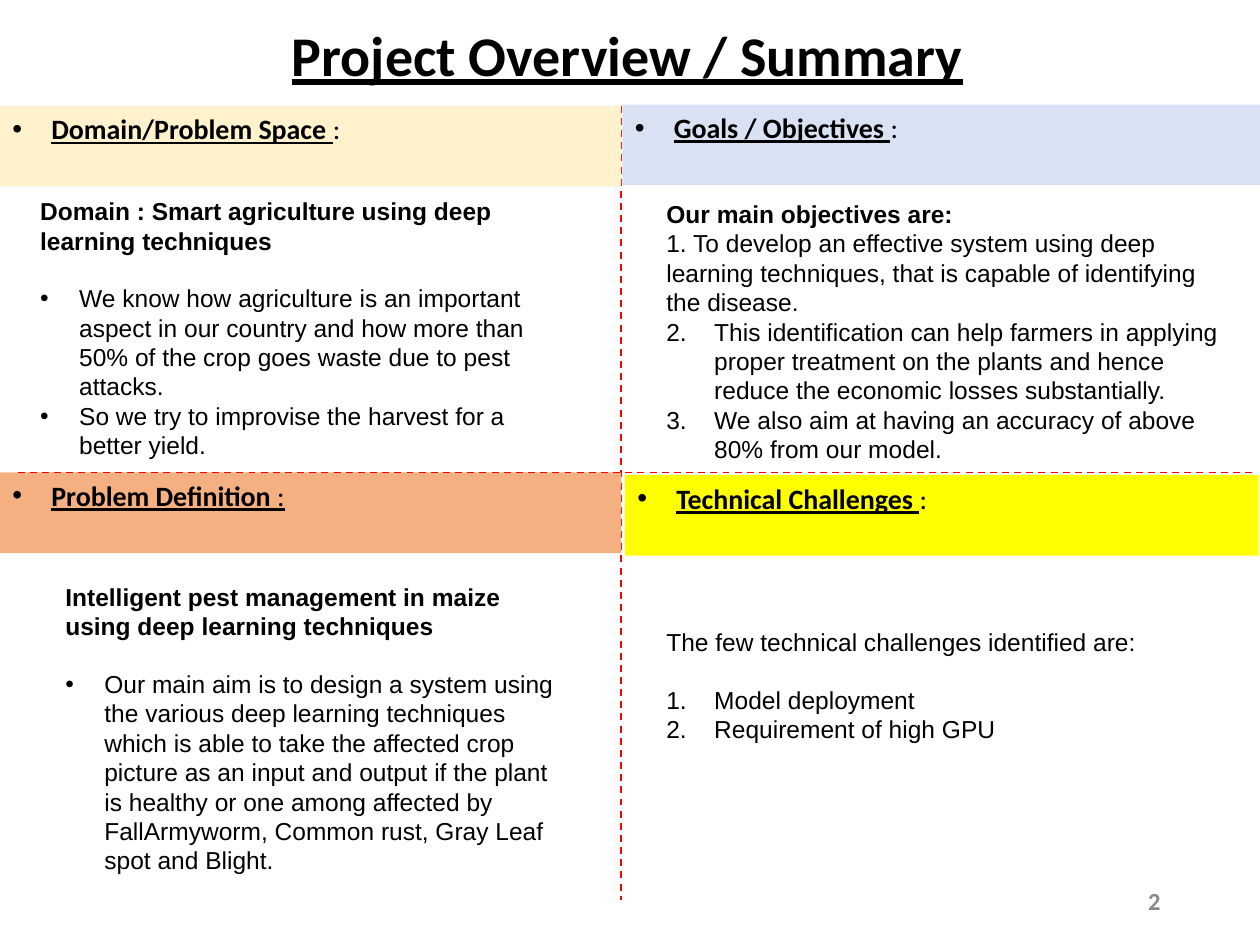
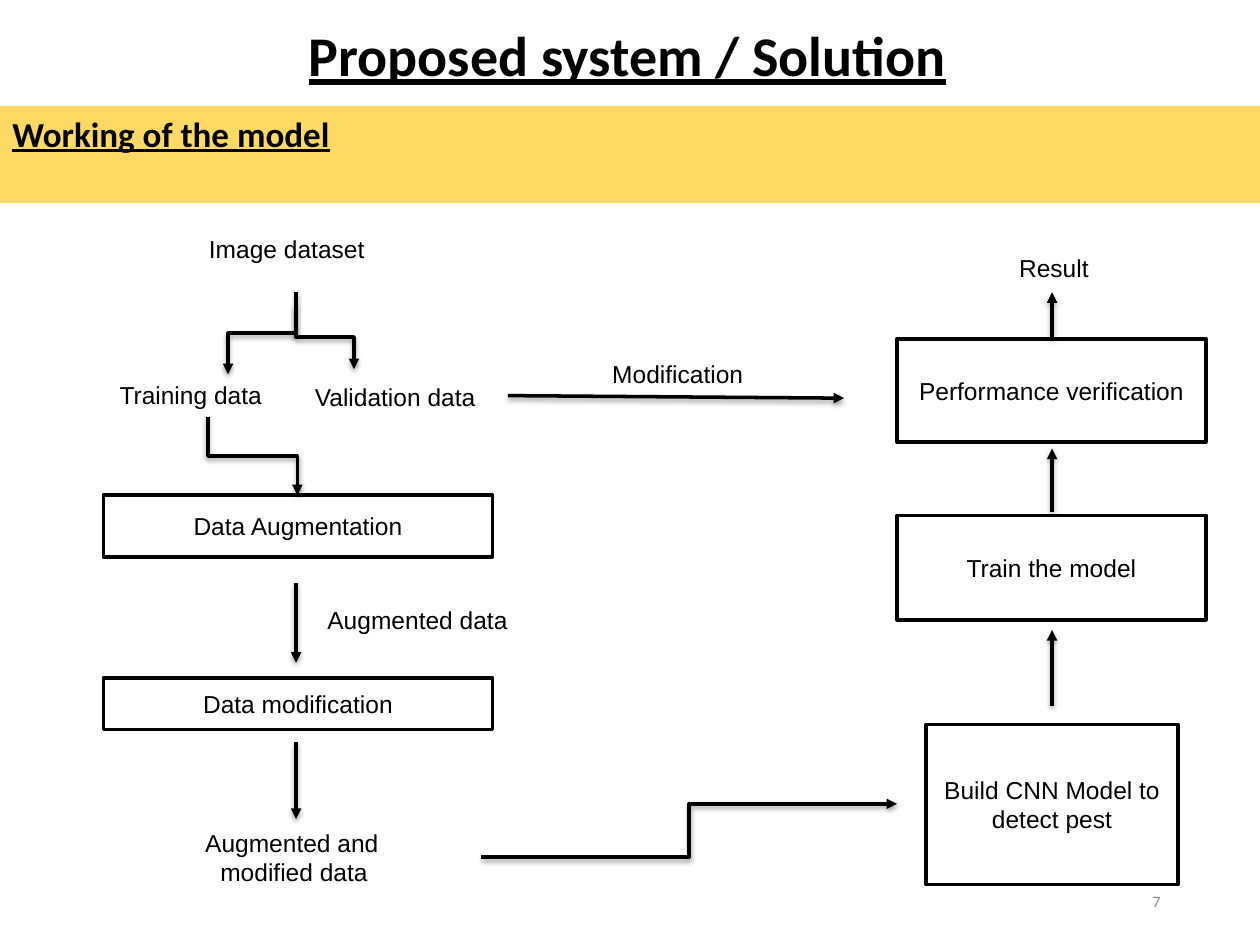
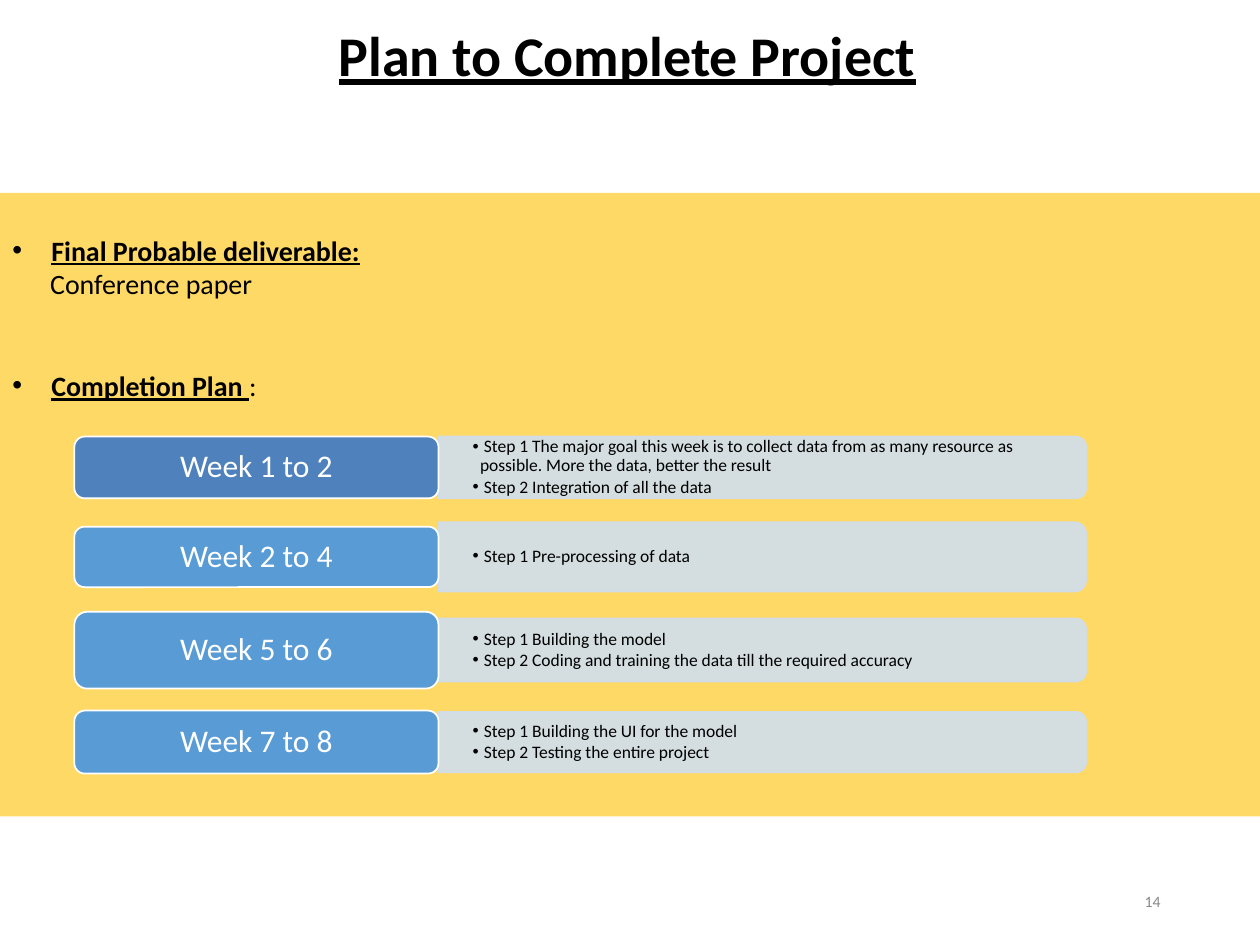
"""Build three project review slides: overview, proposed system and completion plan."""
from lxml.etree import SubElement
from pptx import Presentation
from pptx.dml.color import RGBColor
from pptx.enum.dml import MSO_LINE
from pptx.enum.shapes import MSO_CONNECTOR, MSO_SHAPE
from pptx.enum.text import MSO_ANCHOR, PP_ALIGN
from pptx.oxml.ns import qn
from pptx.util import Inches, Pt

BLACK = RGBColor(0x00, 0x00, 0x00)
WHITE = RGBColor(0xFF, 0xFF, 0xFF)
GREY = RGBColor(0x88, 0x88, 0x88)
RED = RGBColor(0xFF, 0x00, 0x00)
CREAM = RGBColor(0xFF, 0xF2, 0xCC)
ORANGE = RGBColor(0xF4, 0xB0, 0x81)
PALE = RGBColor(0xD8, 0xE2, 0xF3)
YELLOW = RGBColor(0xFF, 0xFF, 0x00)
GOLD = RGBColor(0xFF, 0xD9, 0x66)
MIST = RGBColor(0xCF, 0xDE, 0xEF)
NAVY = RGBColor(0x4F, 0x81, 0xBD)
BLUE = RGBColor(0x59, 0x9B, 0xD5)

STRAIGHT = MSO_CONNECTOR.STRAIGHT
ELBOW = MSO_CONNECTOR.ELBOW
CENTER = PP_ALIGN.CENTER
MIDDLE = MSO_ANCHOR.MIDDLE


def put(slide, box, paras, size=14, face="Arial", color=BLACK, fill=None, edge=None,
        weight=2, kind=MSO_SHAPE.RECTANGLE, align=PP_ALIGN.LEFT, anchor=MSO_ANCHOR.TOP,
        under=False, inset=(0.1, 0.05), gaps=None, pitch=None):
    """Add a box of paragraphs, each given as mark, indent, bold head and plain tail."""
    place = [Inches(n) for n in box]
    if fill is None:
        shape = slide.shapes.add_textbox(*place)
    else:
        shape = slide.shapes.add_shape(kind, *place)
        shape.shadow.inherit = False
        shape.fill.solid()
        shape.fill.fore_color.rgb = fill
        if edge is None:
            shape.line.fill.background()
        else:
            shape.line.color.rgb = edge
            shape.line.width = Pt(weight)
    frame = shape.text_frame
    frame.word_wrap = True
    frame.vertical_anchor = anchor
    frame.margin_left = frame.margin_right = Inches(inset[0])
    frame.margin_top = frame.margin_bottom = Inches(inset[1])
    for i, (mark, pad, head, tail) in enumerate(paras):
        para = frame.paragraphs[0] if i == 0 else frame.add_paragraph()
        para.alignment = align
        props = para._p.get_or_add_pPr()
        props.set("marL", str(Inches(pad)))
        props.set("indent", str(-Inches(pad) if mark else 0))
        if mark == "•":
            SubElement(props, qn("a:buFont"), typeface="Arial")
            SubElement(props, qn("a:buChar"), char=mark)
        elif mark:
            SubElement(props, qn("a:buAutoNum"), type="arabicPeriod", startAt=str(mark))
        if pitch:
            para.line_spacing = pitch
        if gaps and i in gaps:
            para.space_before = Pt(gaps[i])
        para.font.size = Pt(size)
        para.font.name = face
        para.font.color.rgb = color
        for text, bold in ((head, True), (tail, False)):
            if text:
                run = para.add_run()
                run.text = text
                run.font.bold = bold
                run.font.underline = bold and under
    return shape


def link(slide, ends, kind=STRAIGHT, drop=False, guide=False):
    """Add a dashed guide or an arrow; a dropping elbow leaves its start downwards."""
    x1, y1, x2, y2 = ends
    if drop:
        midx, midy = (x1 + x2) / 2, (y1 + y2) / 2
        halfx, halfy = (y2 - y1) / 2, abs(x2 - x1) / 2
        if x2 > x1:
            halfx = -halfx
        ends = midx - halfx, midy - halfy, midx + halfx, midy + halfy
    line = slide.shapes.add_connector(kind, *[Inches(n) for n in ends])
    props = line._element.spPr
    if drop:
        props.find(qn("a:xfrm")).set("rot", "16200000" if x2 > x1 else "5400000")
    line.line.color.rgb = RED if guide else BLACK
    line.line.width = Pt(1 if guide else 2)
    if guide:
        line.line.dash_style = MSO_LINE.DASH
    else:
        SubElement(props.find(qn("a:ln")), qn("a:tailEnd"), type="triangle")
    effect = SubElement(props, qn("a:effectLst"))
    if not guide:
        shade = SubElement(effect, qn("a:outerShdw"), blurRad=str(Pt(3.1)),
                           dist=str(Pt(1.6)), dir="5400000", rotWithShape="0")
        tint = SubElement(shade, qn("a:srgbClr"), val="000000")
        SubElement(tint, qn("a:alpha"), val="38000")


deck = Presentation()
deck.slide_width = Inches(10)
deck.slide_height = Inches(7.5)

for title, page, size in (
    ("Project Overview / Summary", ("2", ""), 14),
    ("Proposed system / Solution", ("", "7"), 9),
    ("Plan to Complete Project", ("", "14"), 9),
):
    slide = deck.slides.add_slide(deck.slide_layouts[6])
    put(slide, (-0.04, -0.03, 10.04, 0.78), [("", 0, title, "")], size=32, face="Calibri",
        align=CENTER, anchor=MSO_ANCHOR.BOTTOM, under=True, pitch=0.9)
    put(slide, (7.06, 6.95, 2.25, 0.4), [("", 0, *page)], size=size, face="Calibri",
        color=GREY, align=PP_ALIGN.RIGHT, anchor=MIDDLE)
survey, system, plan = deck.slides

link(survey, (4.93, 0.84, 4.93, 7.14), guide=True)
bands = []
for left, top, width, fill, head, tail in (
    (0, 0.84, 4.93, CREAM, "Domain/Problem Space ", ":"),
    (0, 3.75, 4.93, ORANGE, "Problem Definition ", ":"),
    (4.94, 0.83, 5.06, PALE, "Goals / Objectives ", ":"),
    (4.96, 3.77, 5.03, YELLOW, "Technical Challenges ", ":"),
):
    bands.append(put(survey, (left, top, width, 0.64), [("•", 0.31, head, tail)], size=16,
                     face="Calibri", fill=fill, under=True))
bands[1].text_frame.paragraphs[0].runs[1].font.underline = True
link(survey, (0.14, 3.75, 9.96, 3.75), guide=True)

for box, gaps, paras in (
    ((0.22, 1.51, 4.31, 2.46), {1: 16}, [
        ("", 0, "Domain : Smart agriculture using deep learning techniques", ""),
        ("•", 0.31, "", "We know how agriculture is an important aspect in our country and "
         "how more than 50% of the crop goes waste due to pest attacks."),
        ("•", 0.31, "", "So we try to improvise the harvest for a better yield."),
    ]),
    ((5.19, 1.53, 4.59, 2.69), {}, [
        ("", 0, "Our main objectives are:", ""),
        ("", 0, "", "1. To develop an effective system using deep learning techniques, "
         "that is capable of identifying the disease."),
        (2, 0.38, "", "This identification can help farmers in applying proper treatment "
         "on the plants and hence reduce the economic losses substantially."),
        (2, 0.38, "", "We also aim at having an accuracy of above 80% from our model."),
    ]),
    ((0.42, 4.57, 4.15, 2.69), {1: 16}, [
        ("", 0, "Intelligent pest management in maize using deep learning techniques", ""),
        ("•", 0.31, "", "Our main aim is to design a system using the various deep learning "
         "techniques which is able to take the affected crop picture as an input and output "
         "if the plant is healthy or one among affected by FallArmyworm, Common rust, "
         "Gray Leaf spot and Blight."),
    ]),
    ((5.19, 4.93, 4.38, 1.04), {1: 16}, [
        ("", 0, "", "The few technical challenges identified are:"),
        (1, 0.38, "", "Model deployment"),
        (1, 0.38, "", "Requirement of high GPU"),
    ]),
):
    put(survey, box, paras, gaps=gaps)

put(system, (0, 0.84, 10, 0.77), [("", 0, "Working of the model", "")], size=20,
    face="Calibri", fill=GOLD, under=True)
for text, *box in (
    ("Data Augmentation", 0.82, 3.93, 3.09, 0.49),
    ("Data modification", 0.82, 5.38, 3.09, 0.41),
    ("Build CNN Model to detect pest", 7.35, 5.75, 2, 1.27),
    ("Performance verification", 7.12, 2.69, 2.45, 0.82),
    ("Train the model", 7.12, 4.09, 2.45, 0.83),
):
    put(system, box, [("", 0, "", text)], fill=WHITE, edge=BLACK, align=CENTER, anchor=MIDDLE)
for left, top, *lines in (
    (0.81, 1.81, (0.75, "Image dataset")),
    (1.11, 6.52, (0.42, "Augmented and"), (0.54, "modified data")),
    (1.81, 4.75, (0.69, "Augmented data")),
    (1.65, 2.98, (0.75, "Validation data")),
    (0.1, 2.97, (0.75, "Training data")),
    (6.91, 1.96, (1.08, "Result")),
    (4.07, 2.8, (0.69, "Modification")),
):
    put(system, (left, top, 3.09, 0.34 if len(lines) == 1 else 0.57),
        [("", pad, "", text) for pad, text in lines])
for ends in (
    (2.35, 4.63, 2.35, 5.26),
    (2.35, 5.89, 2.35, 6.5),
    (8.35, 5.6, 8.35, 5),
    (8.35, 4.06, 8.35, 3.56),
    (8.35, 2.69, 8.35, 2.32),
    (4.03, 3.14, 6.7, 3.16),
):
    link(system, ends)
for ends in (
    (2.35, 2.32, 1.81, 2.97),
    (2.35, 2.42, 2.81, 2.93),
    (1.65, 3.31, 2.36, 3.93),
):
    link(system, ends, ELBOW, drop=True)
link(system, (3.82, 6.8, 7.12, 6.38), ELBOW)

body = put(plan, (0, 1.53, 10, 4.95), [
    ("•", 0.31, "Final Probable deliverable:", ""),
    ("", 0.3, "", "Conference paper"),
    ("•", 0.31, "Completion Plan ", ":"),
], size=16, face="Calibri", fill=GOLD, under=True, gaps={2: 39})
body.text_frame.margin_top = Inches(0.32)

for weeks, mid, tall, thick, fill, steps in (
    ("Week 1 to 2", 3.71, 0.49, 0.49, NAVY, (
        "The major goal this week is to collect data from as many resource as possible. "
        "More the data, better the result",
        "Integration of all the data")),
    ("Week 2 to 4", 4.42, 0.48, 0.55, BLUE, ("Pre-processing of data",)),
    ("Week 5 to 6", 5.16, 0.61, 0.5, BLUE, (
        "Building the model", "Coding and training the data till the required accuracy")),
    ("Week 7 to 8", 5.89, 0.5, 0.48, BLUE, (
        "Building the UI for the model", "Testing the entire project")),
):
    bar = put(plan, (6.05 - thick / 2, mid - 2.57, thick, 5.14), [], fill=MIST, edge=MIST,
              weight=1, kind=MSO_SHAPE.ROUND_2_SAME_RECTANGLE)
    bar.rotation = 90
    for tint in bar._element.spPr.iter(qn("a:srgbClr")):
        SubElement(tint, qn("a:alpha"), val="89000")
    put(plan, (3.48, mid - 0.22, 5.12, 0.44),
        [("•", 0.06, "", f" Step {i} {step}") for i, step in enumerate(steps, 1)],
        size=10, face="Calibri", anchor=MIDDLE, inset=(0.27, 0), gaps={1: 1.5}, pitch=0.9)
    put(plan, (0.59, mid - tall / 2, 2.89, tall), [("", 0, "", weeks)], size=18,
        face="Calibri", color=WHITE, fill=fill, edge=WHITE, weight=1, align=CENTER,
        kind=MSO_SHAPE.ROUNDED_RECTANGLE, anchor=MIDDLE, inset=(0.07, 0.04), pitch=0.9)

deck.save("out.pptx")
